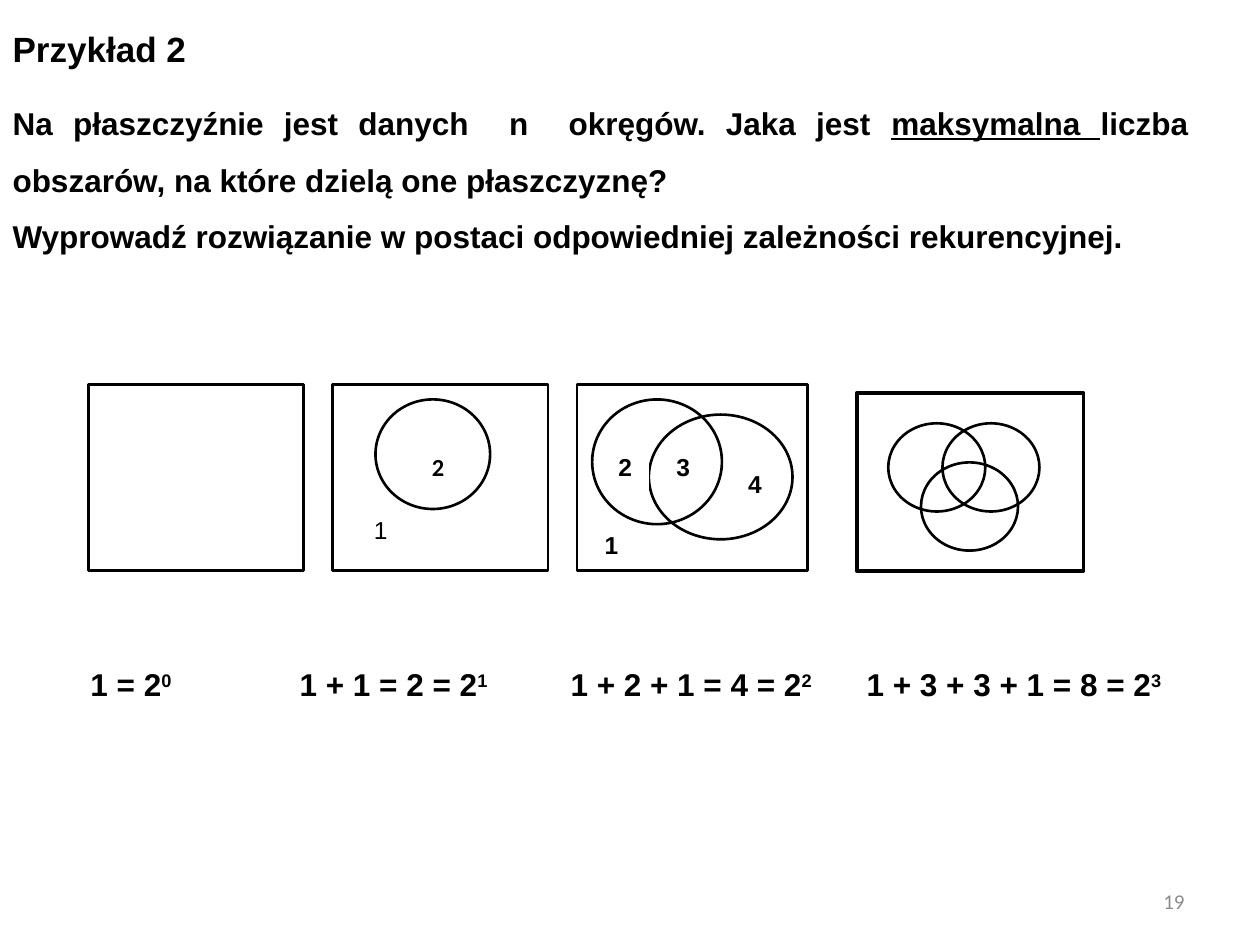
from lxml.etree import SubElement
from pptx import Presentation
from pptx.dml.color import RGBColor
from pptx.enum.shapes import MSO_SHAPE as Shape
from pptx.enum.text import MSO_ANCHOR as Anchor, MSO_AUTO_SIZE as AutoSize, PP_ALIGN as Align
from pptx.oxml.ns import qn
from pptx.util import Inches, Pt

BLACK = RGBColor(0, 0, 0)
WHITE = RGBColor(255, 255, 255)
GRAY = RGBColor(0x8C, 0x8C, 0x8C)

HEADING = "Przykład 2"
TASK = [
    [("Na płaszczyźnie jest danych  n  okręgów. Jaka jest ", False),
     ("maksymalna ", True),
     ("liczba obszarów, na które dzielą one płaszczyznę?", False)],
    [("Wyprowadź rozwiązanie w postaci odpowiedniej zależności rekurencyjnej.", False)],
]
PANELS = [
    {"frame": (0.7, 3.05, 1.71, 1.48), "width": 1.5, "circles": [], "regions": []},
    {"frame": (2.64, 3.05, 1.71, 1.48), "width": 1.5,
     "circles": [(2.98, 3.17, 0.91, 0.87)],
     "regions": [("1", 2.87, 4.04, 0.25, "Arial", False),
                 ("2", 3.33, 3.54, 0.37, "Calibri", True)]},
    {"frame": (4.58, 3.05, 1.83, 1.48), "width": 1.5,
     "circles": [(4.7, 3.17, 1.03, 0.99), (5.15, 3.29, 1.14, 0.99)],
     "regions": [("1", 4.7, 4.16, 0.25, "Arial", True),
                 ("2", 4.81, 3.54, 0.37, "Arial", True),
                 ("4", 5.84, 3.67, 0.37, "Arial", True),
                 ("3", 5.27, 3.54, 0.37, "Arial", True)]},
    {"frame": (6.8, 3.12, 1.8, 1.41), "width": 2.25,
     "circles": [(7.05, 3.36, 0.77, 0.7), (7.31, 3.67, 0.77, 0.7), (7.48, 3.36, 0.77, 0.7)],
     "regions": []},
]
FORMULAS = [
    ("1 = 2", "0", 0.62, 1.2),
    ("1 + 1 = 2 = 2", "1", 2.28, 1.9),
    ("1 + 2 + 1 = 4 = 2", "2", 4.43, 2.3),
    ("1 + 3 + 3 + 1 = 8 = 2", "3", 6.78, 2.6),
]
PAGE = "19"


def style(paragraph, size, font="Arial", bold=True, color=BLACK):
    paragraph.font.name = font
    paragraph.font.size = Pt(size)
    paragraph.font.bold = bold
    paragraph.font.color.rgb = color


def place(holder, box):
    holder.left, holder.top, holder.width, holder.height = map(Inches, box)
    holder.text_frame.auto_size = AutoSize.NONE


def add_outline(slide, kind, box, width):
    outline = slide.shapes.add_shape(kind, *map(Inches, box))
    outline.shadow.inherit = False
    outline.fill.background()
    outline.line.color.rgb = BLACK
    outline.line.width = Pt(width)


def add_text(slide, text, box, size, wrap=True, **look):
    holder = slide.shapes.add_textbox(*map(Inches, box))
    holder.text_frame.word_wrap = wrap
    paragraph = holder.text_frame.paragraphs[0]
    paragraph.add_run().text = text
    style(paragraph, size, **look)
    return holder, paragraph


def add_heading(slide):
    heading = slide.shapes.title
    place(heading, (0, 0, 1.59, 0.54))
    heading.text_frame.word_wrap = False
    heading.text_frame.vertical_anchor = Anchor.TOP
    heading.text_frame.text = HEADING
    paragraph = heading.text_frame.paragraphs[0]
    paragraph.alignment = Align.LEFT
    paragraph.line_spacing = 1.5
    style(paragraph, 20)


def add_task(slide):
    task = slide.placeholders[1]
    place(task, (0, 0.62, 9.53, 1.46))
    frame = task.text_frame
    frame.vertical_anchor = Anchor.MIDDLE
    for i, parts in enumerate(TASK):
        paragraph = frame.add_paragraph() if i else frame.paragraphs[0]
        paragraph.alignment = Align.JUSTIFY
        paragraph.line_spacing = 1.5
        paragraph.space_before = Pt(0)
        style(paragraph, 18)
        properties = paragraph._p.get_or_add_pPr()
        properties.set("marL", "0")
        properties.set("indent", "0")
        properties.insert_element_before(
            SubElement(properties, qn("a:buNone")), "a:tabLst", "a:defRPr", "a:extLst")
        for text, underlined in parts:
            run = paragraph.add_run()
            run.text = text
            if underlined:
                run.font.underline = True


def add_panel(slide, panel):
    add_outline(slide, Shape.RECTANGLE, panel["frame"], panel["width"])
    for circle in panel["circles"]:
        add_outline(slide, Shape.OVAL, circle, 1.5)
    for number, left, top, height, font, bold in panel["regions"]:
        region, paragraph = add_text(
            slide, number, (left, top, 0.34, height), 14, font=font, bold=bold)
        region.fill.solid()
        region.fill.fore_color.rgb = WHITE
        paragraph.space_after = Pt(10)


def add_formula(slide, base, exponent, left, width):
    _, paragraph = add_text(slide, base, (left, 5.23, width, 0.4), 18, wrap=False)
    power = paragraph.add_run()
    power.text = exponent
    power._r.get_or_add_rPr().set("baseline", "30000")


def main():
    deck = Presentation()
    deck.slide_width, deck.slide_height = Inches(10), Inches(7.5)
    slide = deck.slides.add_slide(deck.slide_layouts[1])
    add_heading(slide)
    add_task(slide)
    for panel in PANELS:
        add_panel(slide, panel)
    for formula in FORMULAS:
        add_formula(slide, *formula)
    page, paragraph = add_text(slide, PAGE, (7.17, 6.95, 2.33, 0.4), 12,
                               font="Calibri", bold=False, color=GRAY)
    page.text_frame.vertical_anchor = Anchor.MIDDLE
    paragraph.alignment = Align.RIGHT
    deck.save("out.pptx")


if __name__ == "__main__":
    main()
